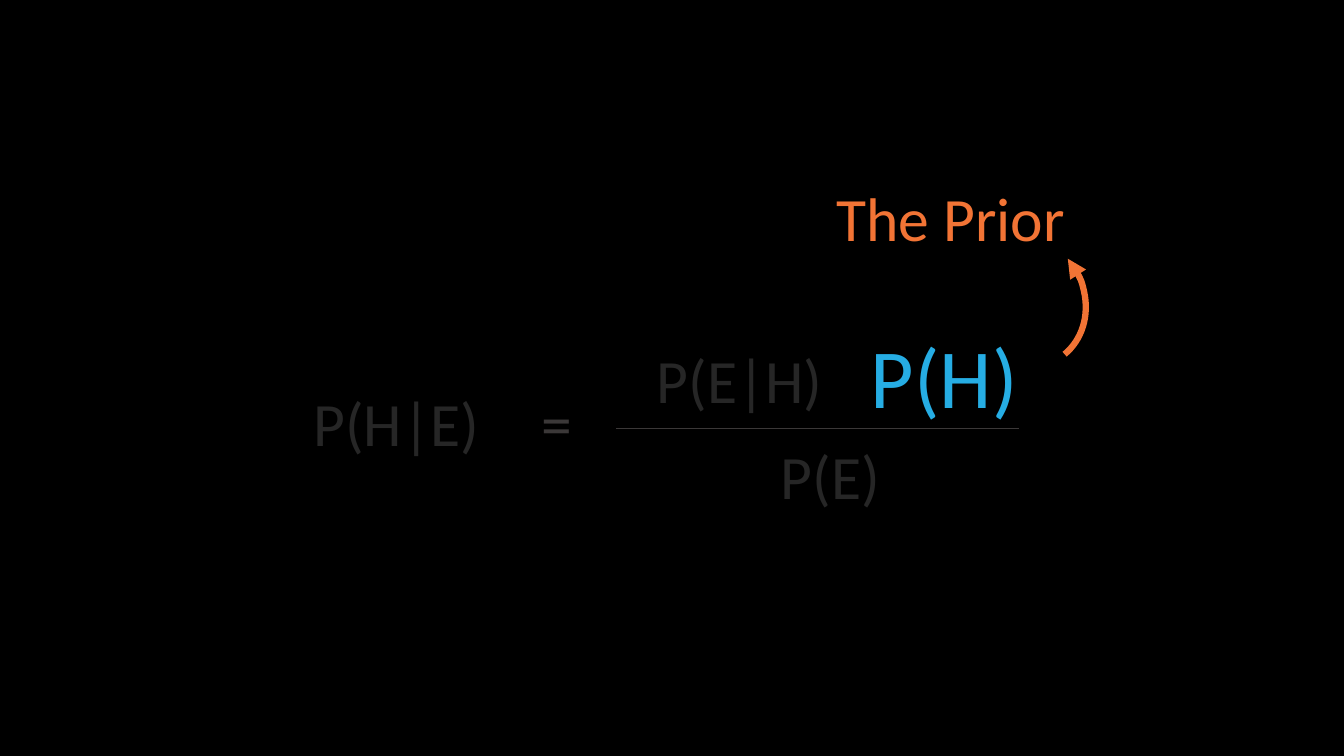
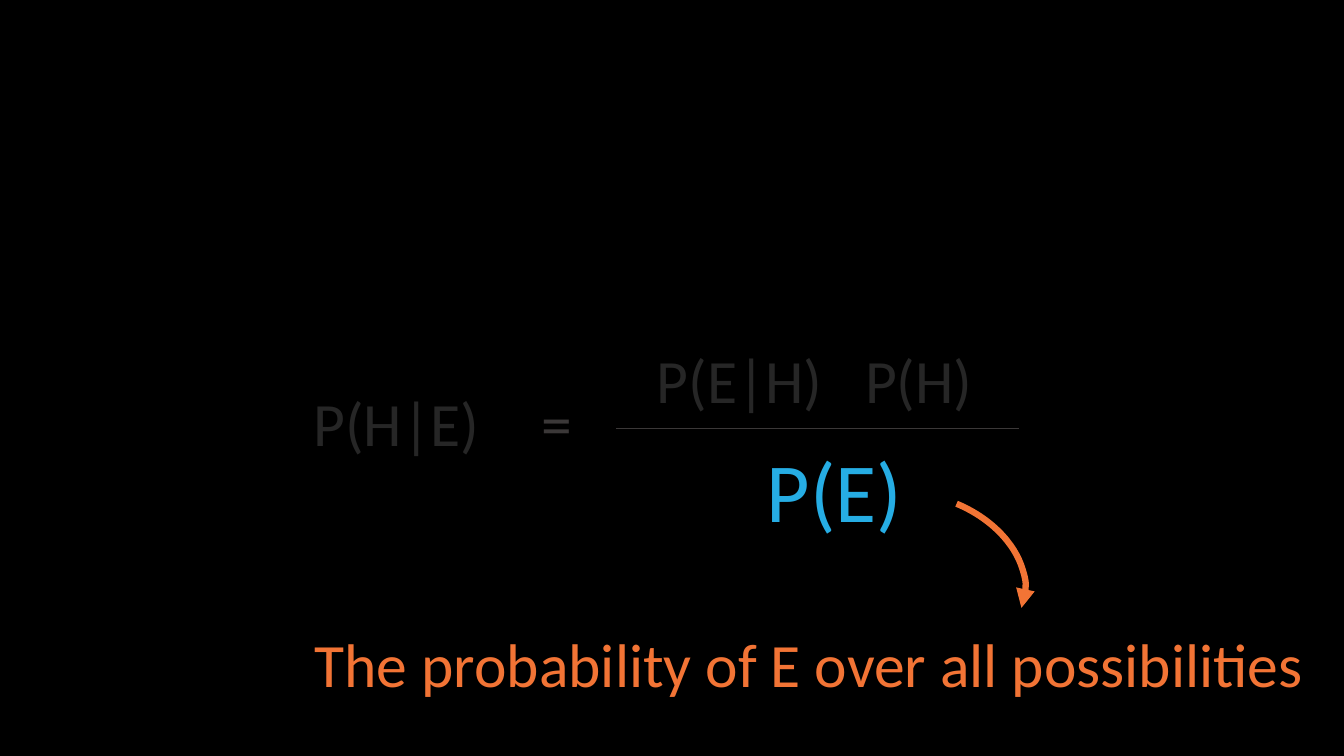
from lxml.etree import SubElement
from pptx import Presentation
from pptx.dml.color import RGBColor
from pptx.enum.shapes import MSO_CONNECTOR, MSO_SHAPE
from pptx.enum.text import MSO_AUTO_SIZE, PP_ALIGN
from pptx.oxml.ns import qn
from pptx.util import Cm, Pt

BACK, DIM, RULE, LIT, NOTE = "000000", "262626", "3B3838", "26ADE4", "F27435"
SMALL, LARGE = 44, 60
HIGH = {SMALL: 2.13, LARGE: 2.82}

# Formula terms: left, top, width in cm
TERMS = {
    "P(H|E)": (7.65, 9.58, 4.75),
    "P(E|H)": (16.3, 8.5, 4.75),
    "P(H)": (21.55, 8.5, 3.25),
    "P(E)": (19.43, 10.92, 3.05),
}
EQUALS = (13.4, 9.58, 1.3)
BAR = (25.68, 15.52, 10.8)  # right, left, height on the slide

SLIDES = [
    {
        "term": "P(H)", "place": (21.7, 8.05, 4.24),
        "note": "The Prior", "spot": (20.8, 4.42, 6.32),
        "arc": (23.88, 5.94, 3.6, 3.2), "turn": 230.3, "flips": ("flipH", "flipV"),
    },
    {
        "term": "P(E)", "place": (19.08, 10.92, 3.96),
        "note": "The probability of E over all possibilities",
        "spot": (7.52, 15.65, 25.76),
        "arc": (21.62, 11.84, 3.6, 5.03), "turn": 112.5, "flips": ("flipH",),
    },
]


def rgb(code):
    return RGBColor.from_string(code)


def write(slide, text, place, color=DIM, size=SMALL, align=PP_ALIGN.LEFT):
    left, top, width = place
    box = slide.shapes.add_textbox(Cm(left), Cm(top), Cm(width), Cm(HIGH[size]))
    frame = box.text_frame
    frame.word_wrap = False
    frame.auto_size = MSO_AUTO_SIZE.SHAPE_TO_FIT_TEXT
    para = frame.paragraphs[0]
    para.alignment = align
    run = para.add_run()
    run.text = text
    for name, value in {"name": "Calibri", "size": Pt(size)}.items():
        setattr(run.font, name, value)
    run.font.color.rgb = rgb(color)


def stroke(line, color, width):
    line.color.rgb = rgb(color)
    line.width = Pt(width)


def draw_bar(slide):
    right, left, level = BAR
    bar = slide.shapes.add_connector(
        MSO_CONNECTOR.STRAIGHT, Cm(right), Cm(level), Cm(left), Cm(level))
    stroke(bar.line, RULE, 0.5)
    SubElement(bar._element.spPr, qn("a:effectLst"))


def draw_arc(slide, place, turn, flips):
    """Draw a curved arrow whose head is at the start of the arc."""
    arc = slide.shapes.add_shape(MSO_SHAPE.ARC, *map(Cm, place))
    arc.shadow.inherit = False
    arc.fill.background()
    arc.rotation = turn
    stroke(arc.line, NOTE, 4.5)
    props = arc._element.spPr
    for flip in flips:
        props.find(qn("a:xfrm")).set(flip, "1")
    SubElement(props.find(qn("a:ln")), qn("a:headEnd"), type="triangle")


def build(deck, data):
    slide = deck.slides.add_slide(deck.slide_layouts[6])
    for term, place in TERMS.items():
        if term == data["term"]:
            write(slide, term, data["place"], LIT, LARGE)
        else:
            write(slide, term, place)
    write(slide, "=", EQUALS, RULE)
    draw_bar(slide)
    write(slide, data["note"], data["spot"], NOTE, align=PP_ALIGN.CENTER)
    draw_arc(slide, data["arc"], data["turn"], data["flips"])


def main():
    deck = Presentation()
    deck.slide_width, deck.slide_height = Cm(33.87), Cm(19.05)
    fill = deck.slide_master.background.fill
    fill.solid()
    fill.fore_color.rgb = rgb(BACK)
    for data in SLIDES:
        build(deck, data)
    deck.save("out.pptx")


if __name__ == "__main__":
    main()
